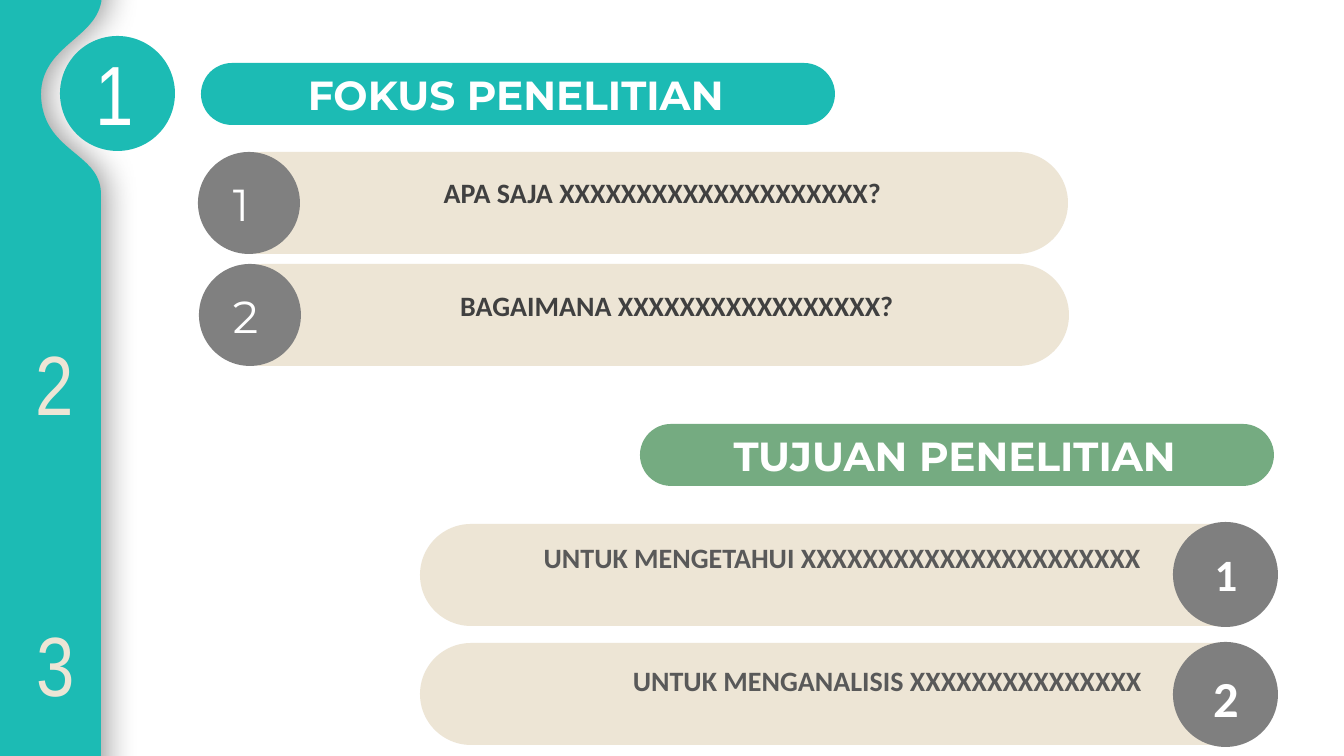
from lxml import etree
from pptx import Presentation
from pptx import util as u
from pptx.dml.color import RGBColor
from pptx.enum import shapes, text
from pptx.oxml.ns import qn

PX = 914400 / 100.8
COLORS = {
    "teal": "1CBBB4", "green": "75AB81", "sand": "EDE5D5", "gray": "808080",
    "mid": "7F7F7F", "dark": "404040", "body": "595959", "white": "FFFFFF",
}
LEFT, CENTER, RIGHT = text.PP_ALIGN.LEFT, text.PP_ALIGN.CENTER, text.PP_ALIGN.RIGHT
DISC = shapes.MSO_SHAPE.OVAL
PILL = shapes.MSO_SHAPE.ROUNDED_RECTANGLE


def emu(px):
    return u.Emu(round(px * PX))


def rgb(color):
    return RGBColor.from_string(COLORS[color])


def paint(sp, color):
    sp.shadow.inherit = False
    sp.fill.solid()
    sp.fill.fore_color.rgb = rgb(color)
    sp.line.fill.background()


def add_run(tf, words, font, size, color, align, bold):
    p = tf.paragraphs[0]
    p.alignment = align
    r = p.add_run()
    r.text = words
    r.font.name, r.font.size, r.font.bold = font, u.Pt(size), bold
    r.font.color.rgb = rgb(color)


def add_filled(s, kind, box, color):
    sp = s.shapes.add_shape(kind, *map(emu, box))
    if kind == PILL:
        sp.adjustments[0] = 0.5
    paint(sp, color)
    return sp


def add_text(s, box, words, font, size, color, align=LEFT, bold=False):
    tf = s.shapes.add_textbox(*map(emu, box)).text_frame
    tf.word_wrap = True
    add_run(tf, words, font, size, color, align, bold)


def add_heading(s, x, y, words, color):
    sp = add_filled(s, PILL, (x, y, 634, 62), color)
    tf = sp.text_frame
    tf.margin_top = tf.margin_bottom = 0
    tf.margin_right = emu(4)
    tf.margin_left = 0
    tf.word_wrap = False
    tf.vertical_anchor = text.MSO_ANCHOR.MIDDLE
    add_run(tf, words, "Montserrat", 29, "white", CENTER, True)


def bezier(a, b, c, d, steps=32):
    """Points along a cubic curve from a to d, without a itself."""
    for i in range(1, steps + 1):
        t = i / steps
        v = 1 - t
        yield tuple(v**3 * m + 3 * v * v * t * n + 3 * v * t * t * o + t**3 * q
                    for m, n, o, q in zip(a, b, c, d))


def add_sidebar(s):
    top, bottom = -910, 1099
    shoulder, notch, foot = (102, -6), (41, 94), (101, 193)
    points = [shoulder,
              *bezier(shoulder, (102, 38), (42, 43), notch),
              *bezier(notch, (42, 152), (100, 152), foot),
              (101, bottom), (0, bottom), (0, top)]
    fb = s.shapes.build_freeform(emu(101), emu(top), scale=1.0)
    fb.add_line_segments([(emu(x), emu(y)) for x, y in points], close=True)
    sp = fb.convert_to_shape()
    paint(sp, "teal")
    effects = sp._element.spPr.find(qn("a:effectLst"))
    shadow = etree.SubElement(effects, qn("a:outerShdw"), blurRad=str(int(u.Pt(23))),
                              dist=str(int(u.Pt(3))), dir="0", algn="l", rotWithShape="0")
    tint = etree.SubElement(shadow, qn("a:srgbClr"), val="000000")
    etree.SubElement(tint, qn("a:alpha"), val="40000")


def main():
    prs = Presentation()
    prs.slide_width, prs.slide_height = emu(1344), emu(756)
    s = prs.slides.add_slide(prs.slide_layouts[6])

    for y in (643, 524):
        add_filled(s, PILL, (420, y, 857, 102), "sand")

    add_sidebar(s)
    add_filled(s, DISC, (60, 36, 115, 115), "teal")
    for number, x, y, color in (("1", 86, 37, "white"), ("2", 26, 327, "sand"),
                                ("3", 27, 608, "sand")):
        add_text(s, (x, y, 67, 112), number, "Arial Narrow", 60, color)

    add_heading(s, 201, 63, "FOKUS PENELITIAN", "teal")
    focus = (
        ("1", 198, 152, (270, 171, 785, 78), "APA SAJA XXXXXXXXXXXXXXXXXXXX?"),
        ("2", 199, 264, (299, 284, 756, 44), "BAGAIMANA XXXXXXXXXXXXXXXXX?"),
    )
    for number, x, y, box, words in focus:
        add_filled(s, PILL, (x + 13, y, 857, 102), "sand")
        add_filled(s, DISC, (x, y, 102, 102), "gray")
        add_text(s, box, words, "Calibri", 20, "dark", CENTER, True)
        add_text(s, (223, y + 20, 50, 65), number, "Montserrat", 32, "white")

    add_heading(s, 640, 424, "TUJUAN PENELITIAN", "green")
    goals = (
        ("1", 32, 522, (437, 536, 714, 44), "UNTUK MENGETAHUI XXXXXXXXXXXXXXXXXXXXXX"),
        ("2", 36, 642, (545, 659, 607, 44), "UNTUK MENGANALISIS XXXXXXXXXXXXXXX"),
    )
    for number, size, y, box, words in goals:
        add_filled(s, DISC, (1173, y, 105, 105), "mid")
        add_text(s, (1190, y + 20, 72, 68), number, "Calibri", size, "white", CENTER, True)
        add_text(s, box, words, "Calibri", 20, "body", RIGHT, True)

    prs.save("out.pptx")


if __name__ == "__main__":
    main()
